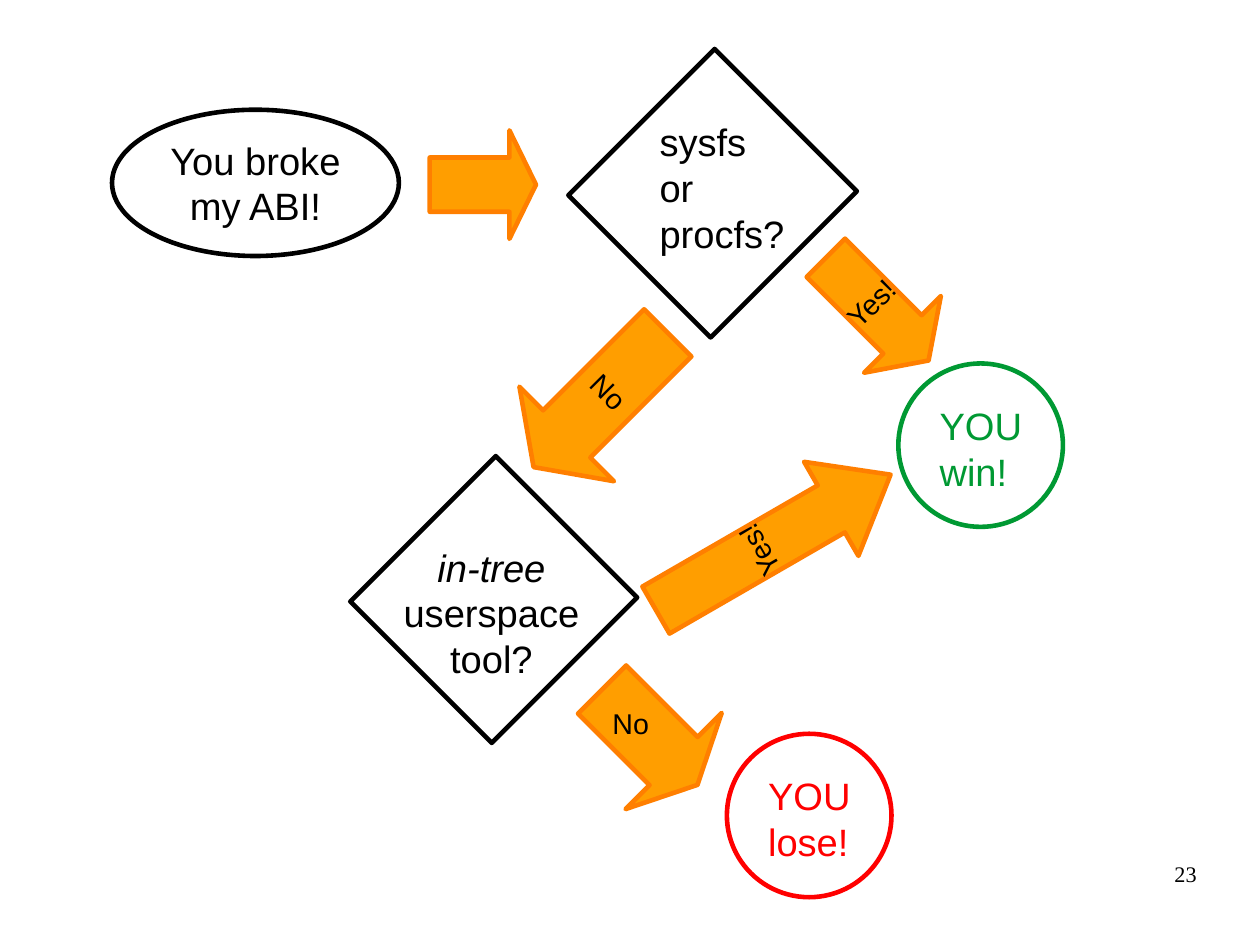
import pptx
import pptx.util
import pptx.dml.color
import pptx.enum.shapes
import pptx.enum.text

Inches = pptx.util.Inches
SHAPE = pptx.enum.shapes.MSO_SHAPE
ALIGN = pptx.enum.text.PP_ALIGN
ANCHOR = pptx.enum.text.MSO_ANCHOR

COLORS = {"black": "000000", "white": "FFFFFF", "orange": "FF9E00",
          "edge": "FF7F00", "win": "009933", "lose": "FF0000"}
LINE_WIDTH = 2.89
ROOMY = (0.12, 0.07)
TIGHT = (0.1, 0.05)

NODES = [
    (SHAPE.OVAL, (6.36, 6.42, 1.44, 1.43), 0, "lose"),
    (SHAPE.OVAL, (7.86, 3.18, 1.44, 1.43), 0, "win"),
    (SHAPE.RECTANGLE, (3.42, 4.37, 1.8, 1.75), 315, "black"),
    (SHAPE.RECTANGLE, (5.33, 0.81, 1.81, 1.76), 315, "black"),
]
START = (SHAPE.OVAL, (0.98, 0.96, 2.51, 1.28), 0, "black")
START_LINES = ["You broke", "my ABI!"]

ARROWS = [
    ((6.29, 3.56, 0.95, 2.37), 240, 0.63, "Yes!"),
    ((7.2, 2.07, 0.95, 1.27), 315, 0.34, "Yes!"),
    ((4.67, 2.67, 1.17, 1.66), 45, 0.35, "No"),
    ((3.75, 1.15, 0.95, 0.93), 270, 0.25, ""),
    ((5.09, 5.86, 1.19, 1.18), 315, 0.25, ""),
]

LABELS = [
    ((6.6, 6.69, 1, 0.88), ["YOU", "lose!"], ROOMY, ALIGN.LEFT, {"color": "lose"}),
    ((8.1, 3.45, 1, 0.88), ["YOU", "win!"], ROOMY, ALIGN.LEFT, {"color": "win"}),
    ((3.43, 4.71, 1.74, 1.21), ["in-tree", "userspace", "tool?"], TIGHT, ALIGN.CENTER, {}),
    ((5.65, 0.97, 1.35, 1.3), ["sysfs", "or", "procfs?"], ROOMY, ALIGN.LEFT, {}),
    ((5.26, 6.13, 0.65, 0.48), ["No"], TIGHT, ALIGN.LEFT, {"size": 18}),
    ((7.9, 7.53, 2.57, 0.57), ["23"], (0, 0), ALIGN.RIGHT,
     {"size": 14, "name": "Times New Roman"}),
]
ITALIC_LINES = {"in-tree"}


def rgb(key):
    return pptx.dml.color.RGBColor.from_string(COLORS[key])


def write(sp, lines, insets, align, anchor, wrap, size=24, color="black", name="Arial"):
    tf = sp.text_frame
    dx, dy = map(Inches, insets)
    frame = {"margin_left": dx, "margin_right": dx, "margin_top": dy,
             "margin_bottom": dy, "word_wrap": wrap, "vertical_anchor": anchor}
    for key, value in frame.items():
        setattr(tf, key, value)
    for i, line in enumerate(lines):
        p = tf.add_paragraph() if i else tf.paragraphs[0]
        p.alignment = align
        r = p.add_run()
        r.text = line
        font = {"size": pptx.util.Pt(size), "name": name, "italic": line in ITALIC_LINES}
        for key, value in font.items():
            setattr(r.font, key, value)
        r.font.color.rgb = rgb(color)


def add_shape(s, kind, box, rotation, line, fill="white"):
    sp = s.shapes.add_shape(kind, *map(Inches, box))
    sp.rotation = rotation
    sp.shadow.inherit = False
    sp.fill.solid()
    sp.fill.fore_color.rgb = rgb(fill)
    sp.line.color.rgb = rgb(line)
    sp.line.width = pptx.util.Pt(LINE_WIDTH)
    return sp


def main():
    prs = pptx.Presentation()
    prs.slide_width, prs.slide_height = pptx.util.Cm(28), pptx.util.Cm(21)
    s = prs.slides.add_slide(prs.slide_layouts[6])

    for node in NODES:
        add_shape(s, *node)
    start = add_shape(s, *START)
    write(start, START_LINES, ROOMY, ALIGN.CENTER, ANCHOR.MIDDLE, False)

    for box, rotation, head, answer in ARROWS:
        arrow = add_shape(s, SHAPE.DOWN_ARROW, box, rotation, "edge", "orange")
        arrow.adjustments[0] = 0.5
        arrow.adjustments[1] = head
        if answer:
            write(arrow, [answer], ROOMY, ALIGN.CENTER, ANCHOR.MIDDLE, False, size=18)

    for box, lines, insets, align, style in LABELS:
        sp = s.shapes.add_textbox(*map(Inches, box))
        write(sp, lines, insets, align, ANCHOR.TOP, True, **style)

    prs.save("out.pptx")


if __name__ == "__main__":
    main()
